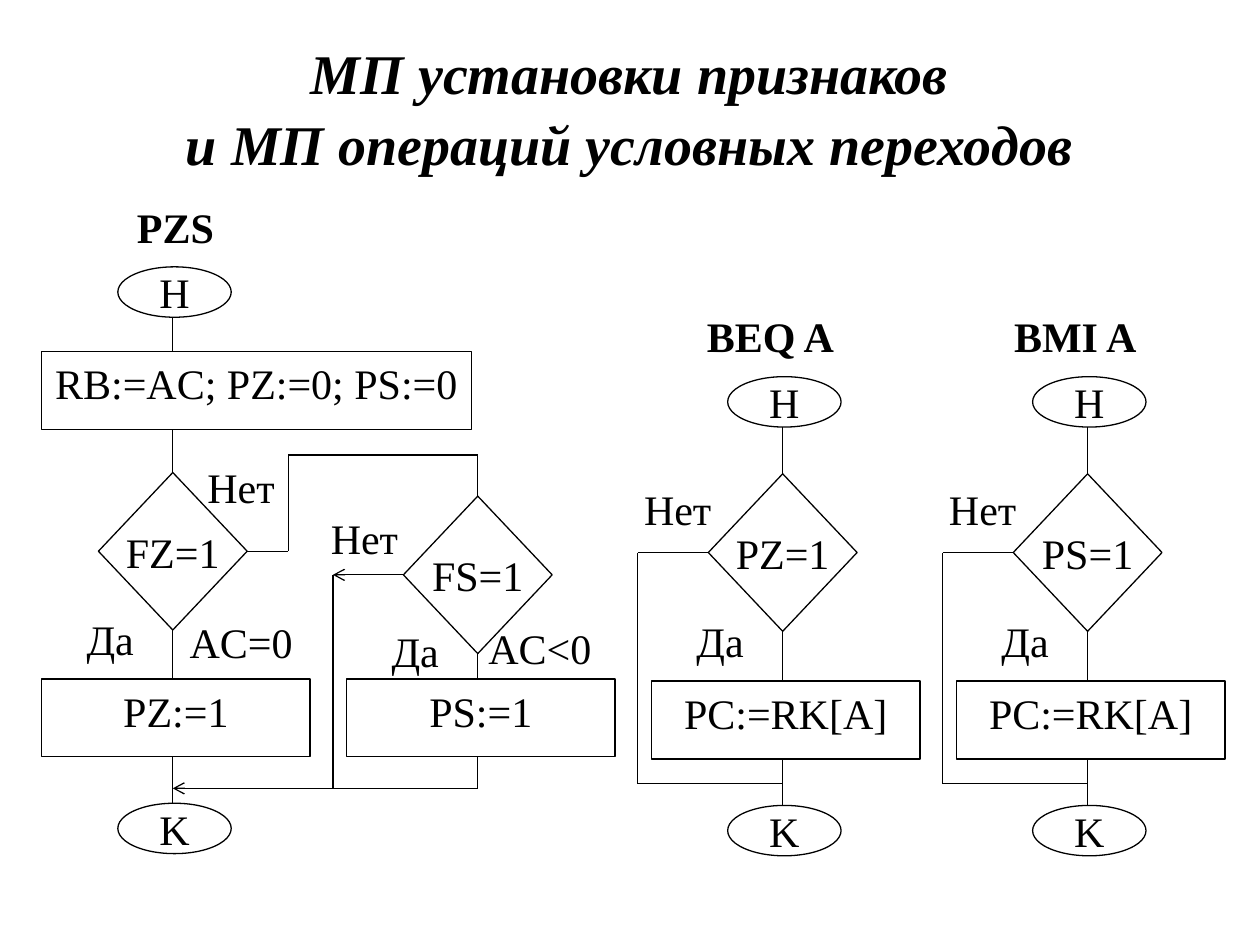
import itertools

import lxml.etree
import pptx
import pptx.dml.color
import pptx.enum.shapes
import pptx.enum.text
import pptx.oxml.ns
import pptx.util

Pt = pptx.util.Pt
SHAPES = pptx.enum.shapes.MSO_SHAPE
ANCHOR = pptx.enum.text.MSO_ANCHOR
BLACK = pptx.dml.color.RGBColor(0, 0, 0)
FONT = "Times New Roman"
LINE_WIDTH = 0.75
COLUMN_LEFT = 23.75
COLUMN_STEP = 174.25
AXIS = 75
OVAL_WIDTH, OVAL_HEIGHT = 64.8, 28.8
DIAMOND_WIDTH, DIAMOND_HEIGHT = 85, 90
ACTION_WIDTH, ACTION_HEIGHT = 153.5, 44.5
LABEL_WIDTH, LABEL_HEIGHT = 87, 39


def write_span(para, text, size=24, bold=False, italic=False):
    """Add one centred run of black text to a paragraph."""
    para.alignment = pptx.enum.text.PP_ALIGN.CENTER
    span = para.add_run()
    span.text = text
    span.font.name = FONT
    span.font.size = Pt(size)
    span.font.bold = bold
    span.font.italic = italic
    span.font.color.rgb = BLACK


def add_node(page, kind, left, top, width, height, text):
    """Draw an outlined flowchart node with its text."""
    node = page.shapes.add_shape(kind, Pt(left), Pt(top), Pt(width), Pt(height))
    node.shadow.inherit = False
    node.fill.background()
    node.line.color.rgb = BLACK
    node.line.width = Pt(LINE_WIDTH)
    frame = node.text_frame
    frame.word_wrap = False
    is_action = kind == SHAPES.RECTANGLE
    frame.vertical_anchor = ANCHOR.TOP if is_action else ANCHOR.MIDDLE
    if not is_action:
        frame.margin_left = frame.margin_right = 0
        frame.margin_top = frame.margin_bottom = 0
    write_span(frame.paragraphs[0], text)


def add_label(page, left, top, text, width=LABEL_WIDTH, bold=False):
    """Place a centred text label."""
    label = page.shapes.add_textbox(Pt(left), Pt(top), Pt(width), Pt(LABEL_HEIGHT))
    label.text_frame.word_wrap = True
    write_span(label.text_frame.paragraphs[0], text, bold=bold)


def add_route(page, *points, arrow=False):
    """Join the points with straight lines, optionally ending in an arrowhead."""
    for start, end in itertools.pairwise(points):
        line = page.shapes.add_connector(
            pptx.enum.shapes.MSO_CONNECTOR.STRAIGHT,
            *(Pt(value) for value in (*start, *end)))
        line.line.color.rgb = BLACK
        line.line.width = Pt(LINE_WIDTH)
        properties = line._element.spPr
        if arrow and end == points[-1]:
            lxml.etree.SubElement(
                line.line._get_or_add_ln(), pptx.oxml.ns.qn("a:tailEnd"), type="arrow")
        lxml.etree.SubElement(properties, pptx.oxml.ns.qn("a:effectLst"))


def add_oval(page, axis, top, text):
    """Draw a start or end oval centred on the axis."""
    add_node(page, SHAPES.OVAL, axis - OVAL_WIDTH / 2 + 1, top,
             OVAL_WIDTH, OVAL_HEIGHT, text)


def add_decision(page, left, top, action_top, condition, action):
    """Draw a condition, its yes branch and the action below it."""
    axis = left + AXIS
    bottom = top + DIAMOND_HEIGHT
    add_node(page, SHAPES.DIAMOND, axis - DIAMOND_WIDTH / 2, top,
             DIAMOND_WIDTH, DIAMOND_HEIGHT, condition)
    add_route(page, (axis, bottom), (axis, action_top))
    add_label(page, left - 4.25, (bottom + action_top) / 2 - 27, "Да")
    add_node(page, SHAPES.RECTANGLE, left, action_top,
             ACTION_WIDTH, ACTION_HEIGHT, action)


def add_end(page, left, action_top):
    """Join an action to the end oval below it."""
    axis, end_top = left + AXIS, action_top + 71
    add_route(page, (axis, action_top + ACTION_HEIGHT), (axis, end_top))
    add_oval(page, axis, end_top, "K")


def add_title(page, left, top, width, height):
    """Place and format the slide title."""
    title = page.shapes.title
    title.left, title.top = Pt(left), Pt(top)
    title.width, title.height = Pt(width), Pt(height)
    frame = title.text_frame
    frame.vertical_anchor = ANCHOR.MIDDLE
    para = frame.paragraphs[0]
    para.line_spacing = 1.05
    write_span(para, "МП установки признаков", 32, True, True)
    para.add_line_break()
    write_span(para, "и МП операций условных переходов", 32, True, True)


def add_flag_flow(page, left, top):
    """Draw the flag-setting flowchart with its two conditions."""
    axis = left + AXIS
    sign_left = left + COLUMN_STEP
    sign_axis = sign_left + AXIS
    zero_top, sign_top, action_top = top + 158.5, top + 172, top + 276.5
    zero_middle = zero_top + DIAMOND_HEIGHT / 2
    sign_middle = sign_top + DIAMOND_HEIGHT / 2
    turn_x, turn_y = axis + 66, top + 148.5
    bypass_x, merge_y = axis + 91.5, top + 339

    add_label(page, axis - 42, top, "PZS", bold=True)
    add_oval(page, axis, top + 41, "Н")
    add_route(page, (axis, top + 41 + OVAL_HEIGHT), (axis, top + 89.5))
    add_node(page, SHAPES.RECTANGLE, left, top + 89.5, 245.5, ACTION_HEIGHT,
             "RB:=AC; PZ:=0; PS:=0")
    add_route(page, (axis, top + 89.5 + ACTION_HEIGHT), (axis, zero_top))
    add_decision(page, left, zero_top, action_top, "FZ=1", "PZ:=1")
    add_decision(page, sign_left, sign_top, action_top, "FS=1", "PS:=1")
    add_end(page, left, action_top)
    add_route(page, (axis + DIAMOND_WIDTH / 2, zero_middle), (turn_x, zero_middle),
              (turn_x, turn_y), (sign_axis, turn_y), (sign_axis, sign_top))
    add_route(page, (sign_axis - DIAMOND_WIDTH / 2, sign_middle),
              (bypass_x, sign_middle), arrow=True)
    add_route(page, (bypass_x, sign_middle), (bypass_x, merge_y))
    add_route(page, (sign_axis, action_top + ACTION_HEIGHT),
              (sign_axis, merge_y), (axis, merge_y), arrow=True)
    add_label(page, axis - 4.5, top + 148.5, "Нет")
    add_label(page, axis - 4.5, top + 237, "AC=0")
    add_label(page, turn_x, top + 178, "Нет")
    add_label(page, sign_axis - 8, top + 240.5, "AC<0")


def add_jump_flow(page, left, top, name, condition):
    """Draw the flowchart of one conditional jump."""
    axis = left + AXIS
    decision_top, action_top = top + 97, top + 215.5
    middle = decision_top + DIAMOND_HEIGHT / 2
    bypass_x, merge_y = axis - 82.75, top + 274
    add_label(page, axis - 57, top, name, width=100, bold=True)
    add_oval(page, axis, top + 41.5, "Н")
    add_route(page, (axis, top + 41.5 + OVAL_HEIGHT), (axis, decision_top))
    add_decision(page, left, decision_top, action_top, condition, "PC:=RK[A]")
    add_end(page, left, action_top)
    add_route(page, (axis - DIAMOND_WIDTH / 2, middle), (bypass_x, middle),
              (bypass_x, merge_y), (axis, merge_y))
    add_label(page, axis - 103.5, top + 99, "Нет")


def main():
    """Build and save the deck."""
    deck = pptx.Presentation()
    deck.slide_width, deck.slide_height = Pt(720), Pt(540)
    page = deck.slides.add_slide(deck.slide_layouts[5])
    add_title(page, 19.5, 9.5, 680.5, 102)
    add_flag_flow(page, COLUMN_LEFT, 111.5)
    for column, name, condition in ((2, "BEQ A", "PZ=1"), (3, "BMI A", "PS=1")):
        add_jump_flow(page, COLUMN_LEFT + column * COLUMN_STEP, 173.75, name, condition)
    deck.save("out.pptx")


if __name__ == "__main__":
    main()
